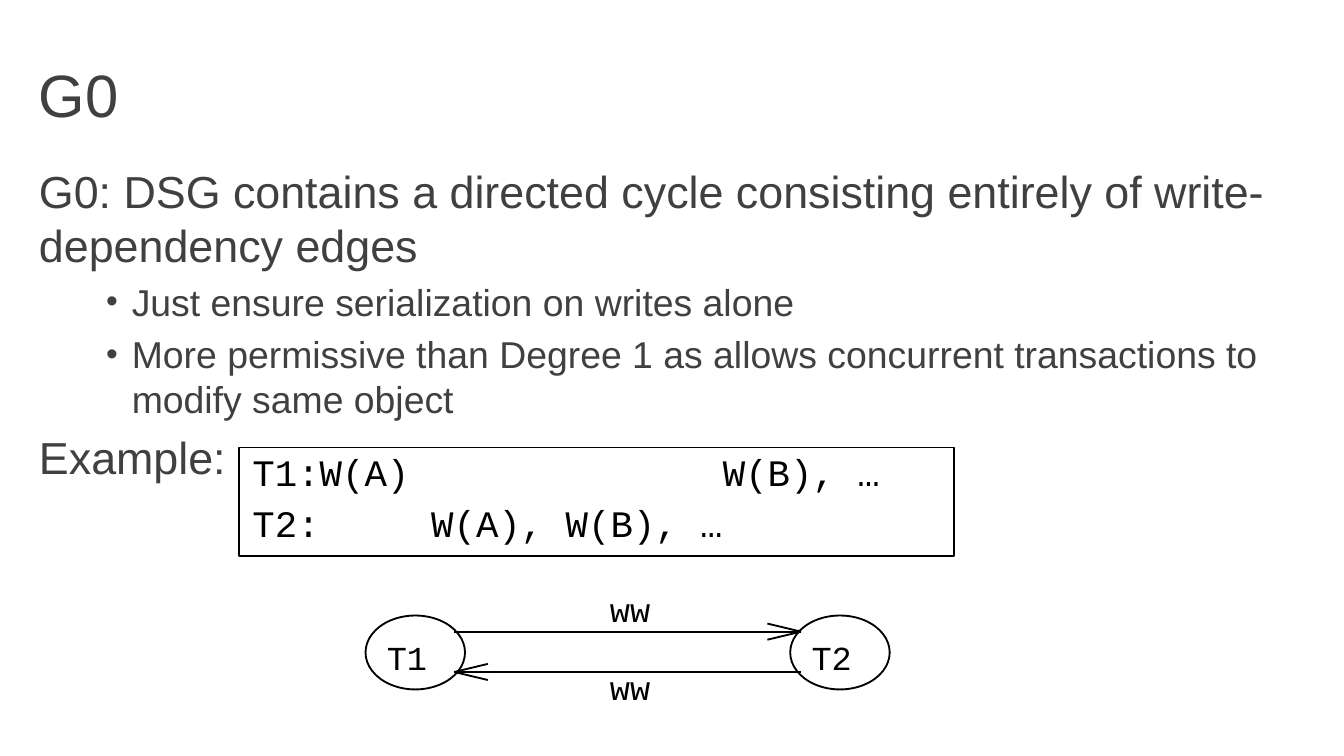
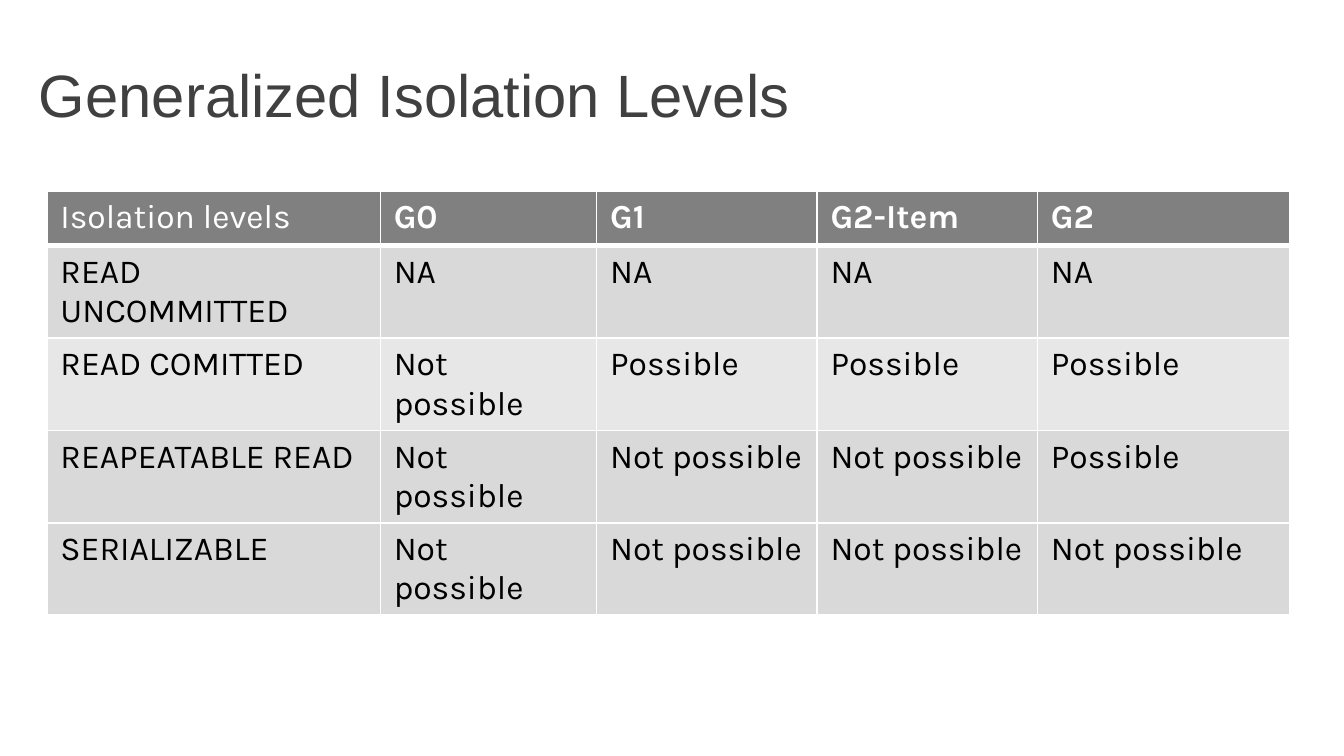
from dataclasses import dataclass

import lxml.etree
import pptx
import pptx.dml.color
import pptx.enum.shapes
import pptx.enum.text
import pptx.oxml.ns
import pptx.util
from pptx.util import Inches

# Shared look
GREY_TEXT = pptx.dml.color.RGBColor(0x40, 0x40, 0x40)
BLACK = pptx.dml.color.RGBColor(0, 0, 0)
WHITE = pptx.dml.color.RGBColor(0xFF, 0xFF, 0xFF)
HEADER_FILL = pptx.dml.color.RGBColor(0x80, 0x80, 0x80)
DARK_BAND = pptx.dml.color.RGBColor(0xD9, 0xD9, 0xD9)
LIGHT_BAND = pptx.dml.color.RGBColor(0xE7, 0xE7, 0xE7)
SANS, MONO, TABLE_FONT = "Arial", "Courier New", "Karla"
SLIDE_WIDTH = Inches(10)
SLIDE_HEIGHT = SLIDE_WIDTH * 9 // 16
MARGIN, CONTENT_WIDTH = 0.19, 9.68
TITLE_AND_BODY, TITLE_ONLY = 1, 5


@dataclass
class BodyLine:
    text: str
    size: int
    bulleted: bool = False


@dataclass
class ScheduleLine:
    text: str
    tab: float


@dataclass
class Label:
    text: str
    left: float
    top: float
    width: float = 0.5
    wraps: bool = False


@dataclass
class Edge:
    start: float
    end: float
    y: float


@dataclass
class LevelRow:
    cells: tuple[str, ...]
    fill: pptx.dml.color.RGBColor


BODY_LINES = [
    BodyLine("G0: DSG contains a directed cycle consisting entirely of "
             "write-dependency edges", 24),
    BodyLine("Just ensure serialization on writes alone", 20, True),
    BodyLine("More permissive than Degree 1 as allows concurrent transactions "
             "to modify same object", 20, True),
    BodyLine("Example:", 24),
]
SCHEDULE = [
    ScheduleLine("T1:W(A)\tW(B), …", 3.5),
    ScheduleLine("T2:\tW(A), W(B), …", 1.33),
]
NODE_LEFTS = {"T1": 2.72, "T2": 5.88}
NODE_TOP, NODE_WIDTH, NODE_HEIGHT = 4.58, 0.74, 0.55
EDGES = [Edge(5.96, 3.38, 5.0), Edge(3.38, 5.96, 4.7)]
EDGE_LABELS = [Label("ww", 4.44, 4.91, 0.81, True), Label("ww", 4.44, 4.33)]
BARB_LENGTH, BARB_RISE = 0.25, 0.06

COLUMN_WIDTHS = [2.48, 1.61, 1.64, 1.64, 1.88]
ROW_HEIGHT = 0.41
LEVEL_ROWS = [
    LevelRow(("Isolation levels", "G0", "G1", "G2-Item", "G2"), HEADER_FILL),
    LevelRow(("READ UNCOMMITTED",) + ("NA",) * 4, DARK_BAND),
    LevelRow(("READ COMITTED", "Not possible") + ("Possible",) * 3, LIGHT_BAND),
    LevelRow(("REAPEATABLE READ",) + ("Not possible",) * 3 + ("Possible",), DARK_BAND),
    LevelRow(("SERIALIZABLE",) + ("Not possible",) * 4, DARK_BAND),
]


# Helpers
def add_xml(parent, tag: str, **attributes: str):
    return lxml.etree.SubElement(parent, pptx.oxml.ns.qn(f"a:{tag}"), attributes)


def place(shape, left: float, top: float, width: float, height: float) -> None:
    shape.left, shape.top = Inches(left), Inches(top)
    shape.width, shape.height = Inches(width), Inches(height)


def style(paragraph, size: int, font: str, color, bold: bool = False) -> None:
    paragraph.alignment = pptx.enum.text.PP_ALIGN.LEFT
    for run in paragraph.runs:
        run.font.size = pptx.util.Pt(size)
        run.font.name = font
        run.font.bold = bold
        run.font.color.rgb = color


def space_before(properties, percent: int) -> None:
    add_xml(add_xml(properties, "spcBef"), "spcPct", val=str(percent * 1000))


def add_titled_slide(deck, layout: int, title_text: str):
    slide = deck.slides.add_slide(deck.slide_layouts[layout])
    title = slide.shapes.title
    place(title, MARGIN, 0.23, CONTENT_WIDTH, 0.94)
    title.text_frame.text = title_text
    title.text_frame.vertical_anchor = pptx.enum.text.MSO_ANCHOR.MIDDLE
    style(title.text_frame.paragraphs[0], 32, SANS, GREY_TEXT)
    return slide


def add_outline(slide, preset, left: float, top: float, width: float, height: float):
    outline = slide.shapes.add_shape(
        preset, Inches(left), Inches(top), Inches(width), Inches(height))
    outline.shadow.inherit = False
    outline.fill.background()
    outline.line.color.rgb = BLACK
    outline.line.width = pptx.util.Pt(1)
    return outline


def add_line(slide, x1: float, y1: float, x2: float, y2: float) -> None:
    line = slide.shapes.add_connector(
        pptx.enum.shapes.MSO_CONNECTOR.STRAIGHT,
        Inches(x1), Inches(y1), Inches(x2), Inches(y2))
    line.line.color.rgb = BLACK
    line.line.width = pptx.util.Pt(1)
    add_xml(line._element.spPr, "effectLst")


def add_edge(slide, edge: Edge) -> None:
    add_line(slide, edge.start, edge.y, edge.end, edge.y)
    back = -BARB_LENGTH if edge.end > edge.start else BARB_LENGTH
    for rise in (-BARB_RISE, BARB_RISE):
        add_line(slide, edge.end + back, edge.y + rise, edge.end, edge.y)


def add_label(slide, label: Label) -> None:
    box = slide.shapes.add_textbox(
        Inches(label.left), Inches(label.top), Inches(label.width), Inches(0.4))
    box.text_frame.word_wrap = label.wraps
    box.text_frame.auto_size = pptx.enum.text.MSO_AUTO_SIZE.SHAPE_TO_FIT_TEXT
    box.text_frame.text = label.text
    style(box.text_frame.paragraphs[0], 18, MONO, BLACK)


def fill_body(body) -> None:
    place(body, MARGIN, 1.17, CONTENT_WIDTH, 3.71)
    frame = body.text_frame
    frame.auto_size = pptx.enum.text.MSO_AUTO_SIZE.NONE
    frame.text = "\n".join(line.text for line in BODY_LINES)
    for paragraph, line in zip(frame.paragraphs, BODY_LINES):
        style(paragraph, line.size, SANS, GREY_TEXT)
        paragraph.level = int(line.bulleted)
        properties = paragraph._p.get_or_add_pPr()
        properties.set("marL", str(Inches(0.69 if line.bulleted else 0)))
        properties.set("indent", str(Inches(-0.19 if line.bulleted else 0)))
        space_before(properties, 20)
        if line.bulleted:
            add_xml(properties, "buSzPct", val="90000")
            add_xml(properties, "buFont", typeface=SANS)
            add_xml(properties, "buChar", char="•")
        else:
            add_xml(properties, "buNone")


def add_schedule(slide) -> None:
    schedule = add_outline(
        slide, pptx.enum.shapes.MSO_SHAPE.RECTANGLE, 1.78, 3.33, 5.32, 0.81)
    frame = schedule.text_frame
    frame.vertical_anchor = pptx.enum.text.MSO_ANCHOR.TOP
    frame.text = "\n".join(line.text for line in SCHEDULE)
    for paragraph, line in zip(frame.paragraphs, SCHEDULE):
        style(paragraph, 20, MONO, BLACK)
        properties = paragraph._p.get_or_add_pPr()
        space_before(properties, 30)
        add_xml(add_xml(properties, "tabLst"), "tab",
                pos=str(Inches(line.tab)), algn="l")
        paragraph.line_spacing = 0.9


def format_cell(cell, fill, is_header: bool, bold: bool) -> None:
    borders = {"L": 1, "R": 1, "T": 1, "B": 3 if is_header else 1}
    for side, points in borders.items():
        border = add_xml(cell._tc.get_or_add_tcPr(), f"ln{side}",
                         w=str(pptx.util.Pt(points)))
        add_xml(add_xml(border, "solidFill"), "srgbClr", val=str(WHITE))
    cell.fill.solid()
    cell.fill.fore_color.rgb = fill
    style(cell.text_frame.paragraphs[0], 18, TABLE_FONT,
          WHITE if is_header else BLACK, bold)


# Slides
def build_g0_slide(deck) -> None:
    slide = add_titled_slide(deck, TITLE_AND_BODY, "G0")
    fill_body(slide.placeholders[1])
    add_schedule(slide)
    # Dependency graph
    for left in NODE_LEFTS.values():
        add_outline(slide, pptx.enum.shapes.MSO_SHAPE.OVAL,
                    left, NODE_TOP, NODE_WIDTH, NODE_HEIGHT)
    for name, left in NODE_LEFTS.items():
        add_label(slide, Label(name, left + 0.06, NODE_TOP + 0.11))
    for edge, label in zip(EDGES, EDGE_LABELS):
        add_edge(slide, edge)
        add_label(slide, label)


def build_levels_slide(deck) -> None:
    slide = add_titled_slide(deck, TITLE_ONLY, "Generalized Isolation Levels")
    levels = slide.shapes.add_table(
        len(LEVEL_ROWS), len(COLUMN_WIDTHS), Inches(0.35), Inches(1.42),
        Inches(sum(COLUMN_WIDTHS)), Inches(ROW_HEIGHT * len(LEVEL_ROWS))).table
    for column, width in zip(levels.columns, COLUMN_WIDTHS):
        column.width = Inches(width)
    for r, row in enumerate(LEVEL_ROWS):
        levels.rows[r].height = Inches(ROW_HEIGHT)
        for c, text in enumerate(row.cells):
            cell = levels.cell(r, c)
            cell.text_frame.text = text
            format_cell(cell, row.fill, is_header=r == 0, bold=r == 0 and c > 0)


def main() -> None:
    deck = pptx.Presentation()
    deck.slide_width, deck.slide_height = SLIDE_WIDTH, SLIDE_HEIGHT
    build_g0_slide(deck)
    build_levels_slide(deck)
    deck.save("out.pptx")


if __name__ == "__main__":
    main()
